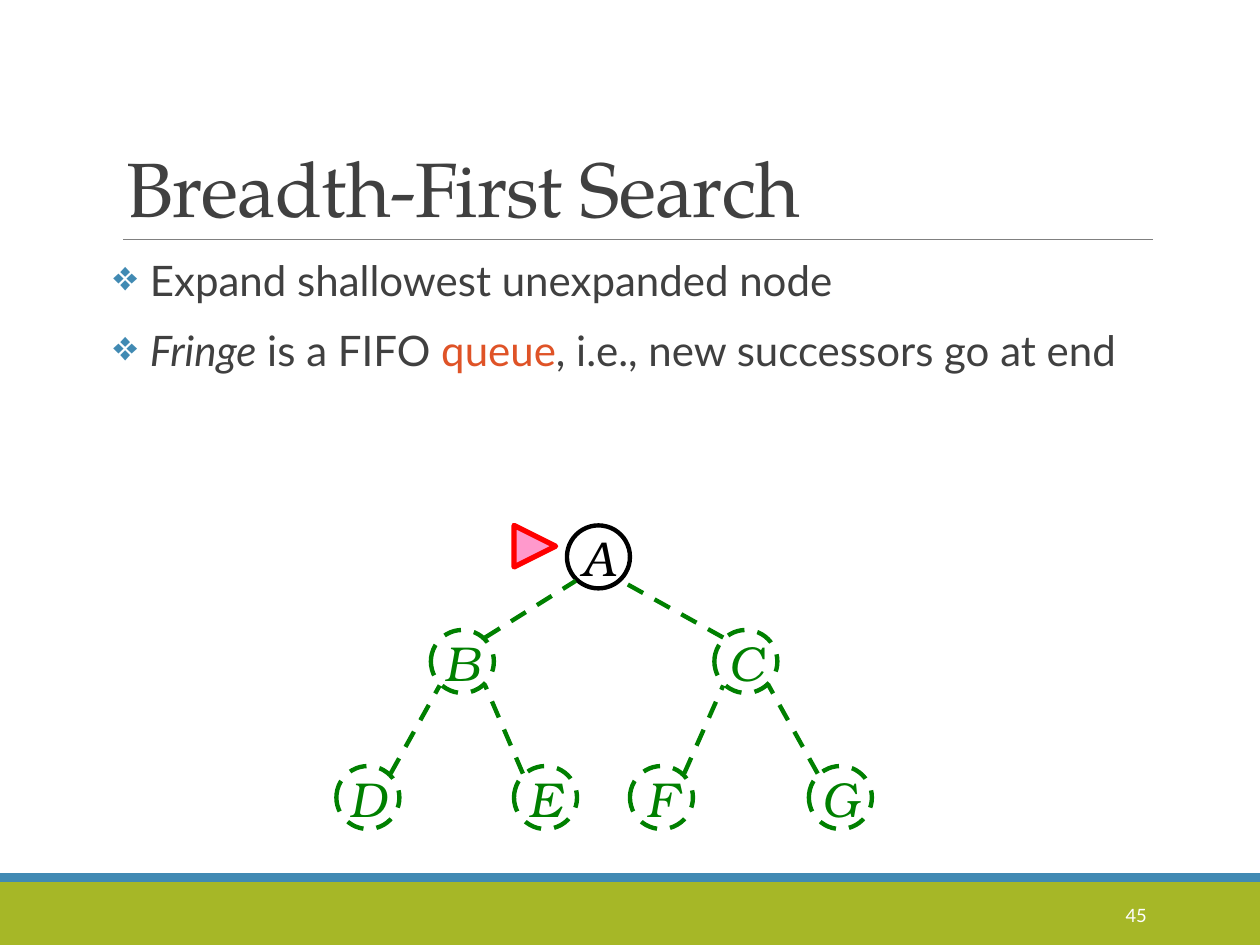
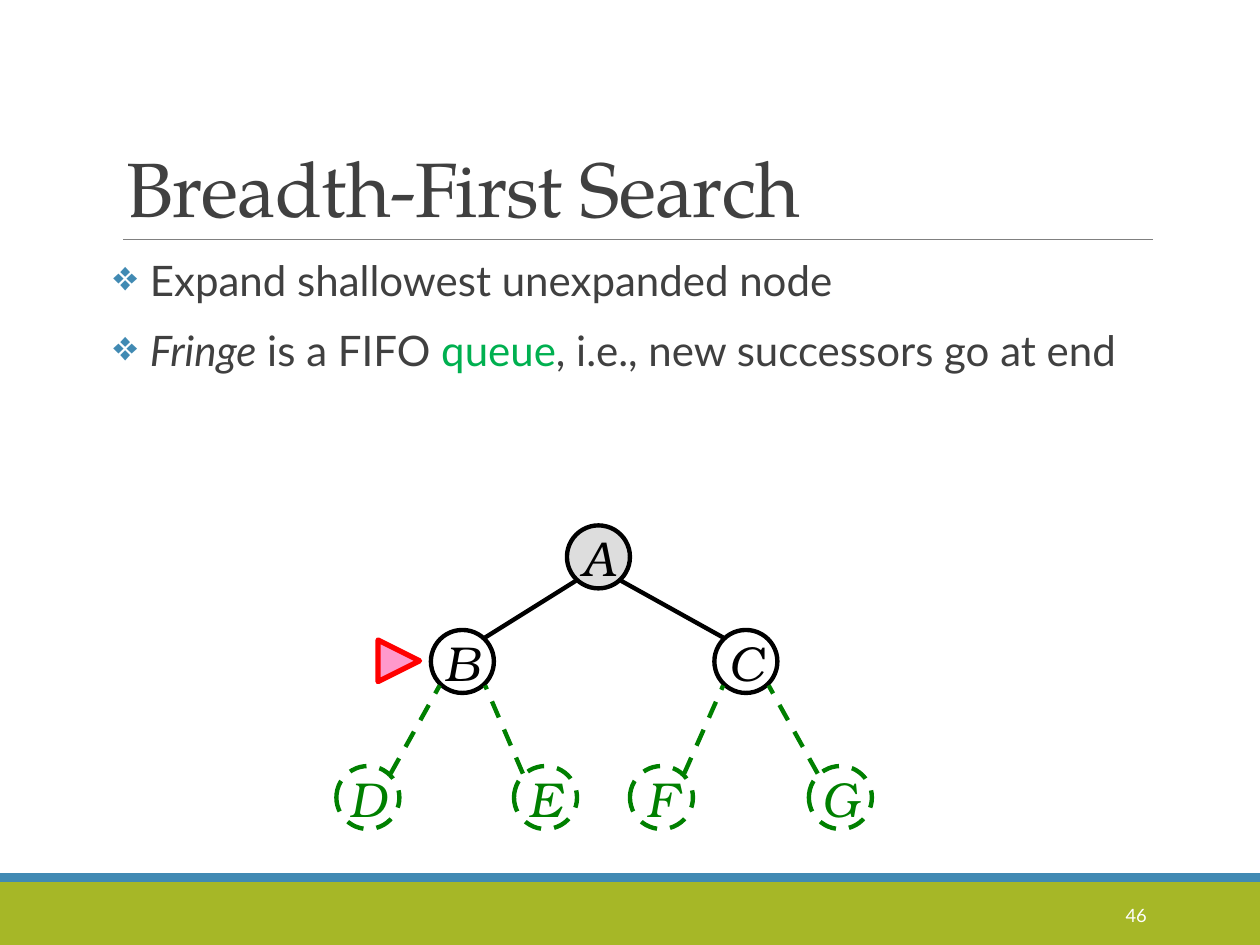
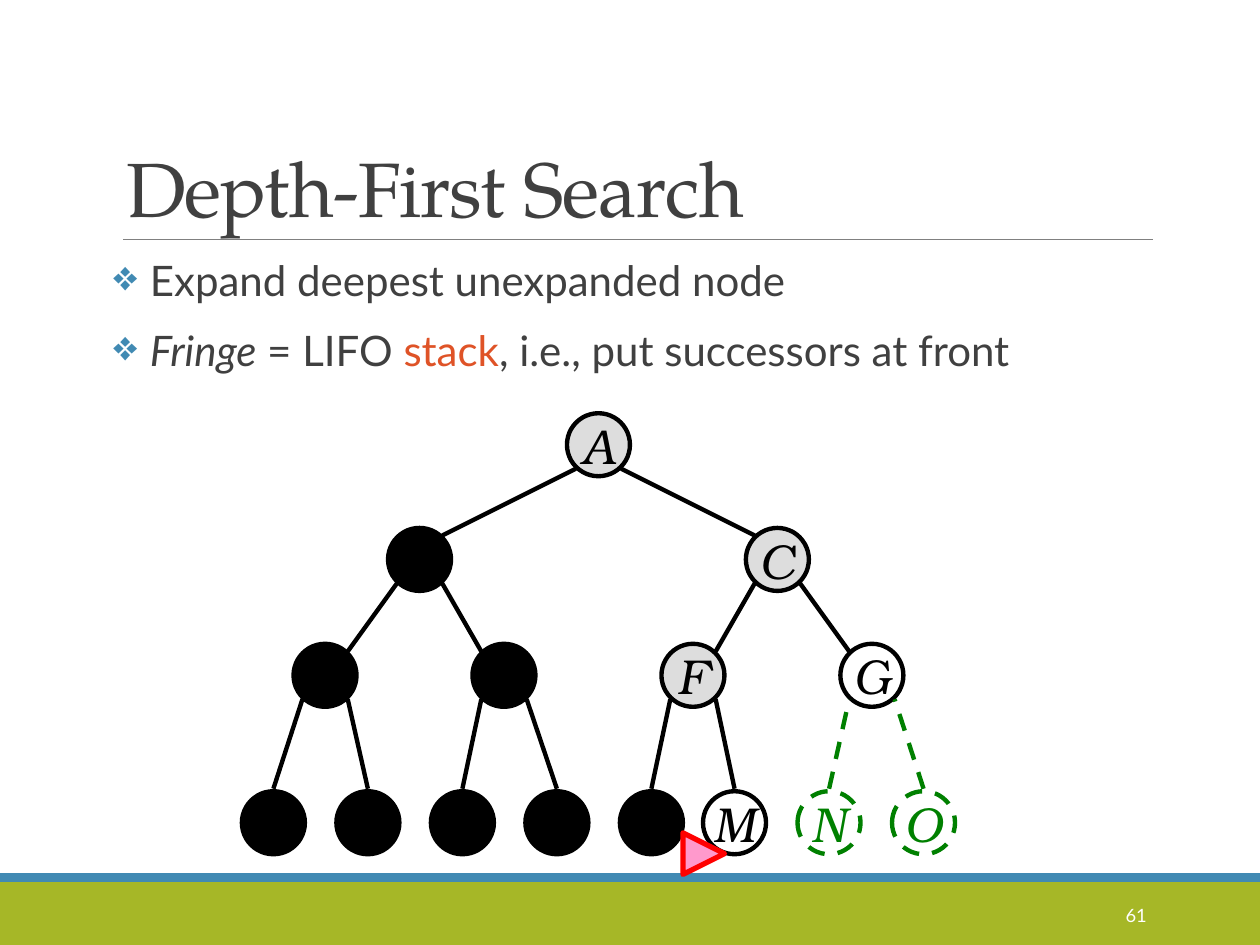
from dataclasses import dataclass
from lxml import etree
from pptx import Presentation
from pptx.dml.color import RGBColor
from pptx.enum.dml import MSO_LINE
from pptx.enum.shapes import MSO_CONNECTOR, MSO_SHAPE
from pptx.enum.text import MSO_ANCHOR, MSO_AUTO_SIZE, PP_ALIGN
from pptx.oxml.ns import qn
from pptx.util import Inches, Pt

# Colours and fonts
BLACK = RGBColor(0x00, 0x00, 0x00)
WHITE = RGBColor(0xFF, 0xFF, 0xFF)
INK = RGBColor(0x40, 0x40, 0x40)
RULE_GRAY = RGBColor(0x80, 0x80, 0x80)
OLIVE = RGBColor(0xA6, 0xB7, 0x27)
BLUE = RGBColor(0x41, 0x8A, 0xB3)
ORANGE = RGBColor(0xDF, 0x53, 0x27)
BRIGHT_GREEN = RGBColor(0x00, 0xB0, 0x50)
DARK_GREEN = RGBColor(0x00, 0x80, 0x00)
LIGHT_GRAY = RGBColor(0xDD, 0xDD, 0xDD)
PINK = RGBColor(0xFF, 0x99, 0xCC)
RED = RGBColor(0xFF, 0x00, 0x00)

TITLE_FONT = {"name": "TeX Gyre Pagella", "size": Pt(44)}
BODY_FONT = {"name": "Lato", "size": Pt(24)}
NUMBER_FONT = {"name": "Lato", "size": Pt(10.5)}
NODE_FONT = {"name": "TeX Gyre Bonum", "size": Pt(28), "italic": True}

# Boxes: left, top, width, height in inches
TITLE_BOX = (0.9, 0.31, 8.25, 1.59)
BODY_BOX = (0.9, 2.02, 8.25, 4.4)
NUMBER_BOX = (8.12, 7.06, 1.08, 0.4)
BANDS = [((0, 7, 10, 0.5), OLIVE), ((0, 6.93, 10, 0.07), BLUE)]

NODE = 0.5
CORNER = 0.07  # inset of an edge's end from a node's bounding box
MARKER = 0.33


@dataclass(frozen=True)
class State:
    """How a search node and the edge above it are drawn."""
    line: RGBColor = BLACK
    fill: RGBColor = None
    dash: MSO_LINE = None
    lettered: bool = True


UNSEEN = State(line=DARK_GREEN, dash=MSO_LINE.DASH)
FRINGE = State()
EXPANDED = State(fill=LIGHT_GRAY)
DISCARDED = State(fill=BLACK, lettered=False)


@dataclass(frozen=True)
class Tree:
    """Binary tree; each level has its top and its nodes' left edges."""
    origin: tuple
    levels: list


BREADTH_TREE = Tree((2.67, 4.17), [
    (0, [1.83]),
    (0.83, [0.75, 3]),
    (1.91, [0, 1.41, 2.33, 3.75]),
])
DEPTH_TREE = Tree((1.92, 3.28), [
    (0, [2.58]),
    (0.91, [1.16, 4]),
    (1.83, [0.41, 1.83, 3.33, 4.75]),
    (3, [0, 0.75, 1.5, 2.25, 3, 3.66, 4.41, 5.16]),
])


def apply(target, **formats):
    for attribute, value in formats.items():
        setattr(target, attribute, value)


def inches(box):
    return [Inches(length) for length in box]


def add_run(paragraph, text, font, color, italic=None):
    run = paragraph.add_run()
    run.text = text
    apply(run.font, **font)
    if italic is not None:
        run.font.italic = italic
    run.font.color.rgb = color
    return run


def set_frame(frame, anchor, wrap=True, **margins):
    apply(frame, auto_size=MSO_AUTO_SIZE.NONE, word_wrap=wrap,
          vertical_anchor=anchor, **margins)


def add_figure(slide, kind, box, fill=None, line=None, weight=2.5, dash=None):
    figure = slide.shapes.add_shape(kind, *inches(box))
    figure.shadow.inherit = False
    if fill is None:
        figure.fill.background()
    else:
        figure.fill.solid()
        figure.fill.fore_color.rgb = fill
    if line is None:
        figure.line.fill.background()
    else:
        figure.line.color.rgb = line
        apply(figure.line, width=Pt(weight), dash_style=dash)
    return figure


def add_line(slide, start, end, color, weight=2.5, dash=None):
    line = slide.shapes.add_connector(
        MSO_CONNECTOR.STRAIGHT, *inches(start + end))
    line.line.color.rgb = color
    apply(line.line, width=Pt(weight), dash_style=dash)
    etree.SubElement(line._element.spPr, qn("a:effectLst"))


# Title, bands and page number
def add_title(slide, text):
    title = slide.shapes.title
    apply(title, **dict(zip(("left", "top", "width", "height"), inches(TITLE_BOX))))
    set_frame(title.text_frame, MSO_ANCHOR.BOTTOM)
    paragraph = title.text_frame.paragraphs[0]
    apply(paragraph, alignment=PP_ALIGN.LEFT, line_spacing=0.85)
    run = add_run(paragraph, text, TITLE_FONT, INK)
    run._r.get_or_add_rPr().set("spc", "-50")


def add_frame(slide, number):
    for box, color in BANDS:
        add_figure(slide, MSO_SHAPE.RECTANGLE, box, fill=color)
    add_line(slide, (0.98, 1.9), (9.15, 1.9), RULE_GRAY, 0.5)
    page = slide.shapes.add_textbox(*inches(NUMBER_BOX)).text_frame
    set_frame(page, MSO_ANCHOR.MIDDLE)
    page.paragraphs[0].alignment = PP_ALIGN.RIGHT
    add_run(page.paragraphs[0], str(number), NUMBER_FONT, WHITE)


# Bulleted strategy
def add_bullet(paragraph):
    apply(paragraph, line_spacing=0.9, space_before=Pt(12), space_after=Pt(2))
    properties = paragraph._p.get_or_add_pPr()
    indent = Inches(0.29)
    properties.set("marL", str(indent))
    properties.set("indent", str(-indent))
    color = etree.SubElement(properties, qn("a:buClr"))
    etree.SubElement(color, qn("a:srgbClr")).set("val", str(BLUE))
    etree.SubElement(properties, qn("a:buChar")).set("char", "❖")


def add_strategy(slide, box, rule, fringe):
    body = slide.shapes.add_textbox(*inches(box)).text_frame
    set_frame(body, MSO_ANCHOR.TOP, margin_left=0, margin_right=0)
    first, second = body.paragraphs[0], body.add_paragraph()
    for paragraph in (first, second):
        add_bullet(paragraph)
    add_run(first, rule, BODY_FONT, INK)
    relation, structure, color, detail = fringe
    add_run(second, "Fringe", BODY_FONT, INK, italic=True)
    for text, shade in ((relation, INK), (structure, color), (detail, INK)):
        add_run(second, text, BODY_FONT, shade, italic=False)


# Search tree
def add_node(slide, corner, letter, state):
    node = add_figure(slide, MSO_SHAPE.OVAL, (*corner, NODE, NODE),
                      state.fill, state.line, dash=state.dash)
    if state.lettered:
        set_frame(node.text_frame, MSO_ANCHOR.MIDDLE, wrap=False)
        paragraph = node.text_frame.paragraphs[0]
        paragraph.alignment = PP_ALIGN.CENTER
        add_run(paragraph, letter, NODE_FONT, state.line)


def add_edge(slide, child, parent, level, state):
    """Join a child to its parent; fourth-level edges start at the top centre."""
    (x, y), (parent_x, parent_y) = child, parent
    near, far = CORNER, NODE - CORNER
    child_side, parent_side = (far, near) if x < parent_x else (near, far)
    start = (x + NODE / 2, y - 0.02) if level == 3 else (x + child_side, y + 0.06)
    add_line(slide, start, (parent_x + parent_side, parent_y + 0.44),
             state.line, dash=state.dash)


def add_tree(slide, tree, states, current, marker_offset):
    left, top = tree.origin
    places = [(left + x, top + y, level)
              for level, (y, xs) in enumerate(tree.levels) for x in xs]
    state_of = {letter: state for state, letters in states.items()
                for letter in letters}
    corners = {}
    for index, (x, y, level) in enumerate(places):
        letter = chr(ord("A") + index)
        state = state_of.get(letter, UNSEEN)
        corners[letter] = (x, y)
        add_node(slide, (x, y), letter, state)
        if index:
            parent = places[(index - 1) // 2][:2]
            add_edge(slide, (x, y), parent, level, state)

    # Pointer to the node expanded next
    (x, y), (dx, dy) = corners[current], marker_offset
    marker = add_figure(slide, MSO_SHAPE.FLOWCHART_EXTRACT,
                        (x + dx, y + dy, MARKER, MARKER), PINK, RED, 3)
    marker.rotation = 90


def add_search_slide(deck, title, number, rule, fringe, **search):
    slide = deck.slides.add_slide(deck.slide_layouts[5])
    add_title(slide, title)
    add_frame(slide, number)
    add_strategy(slide, BODY_BOX, rule, fringe)
    add_tree(slide, **search)


def main():
    deck = Presentation()
    apply(deck, slide_width=Inches(10), slide_height=Inches(7.5))

    breadth_steps = [
        (45, ORANGE, {FRINGE: "A"}, "A", (-0.42, 0)),
        (46, BRIGHT_GREEN, {EXPANDED: "A", FRINGE: "BC"}, "B", (-0.42, 0.08)),
    ]
    for number, color, states, current, offset in breadth_steps:
        add_search_slide(
            deck, "Breadth-First Search", number,
            "Expand shallowest unexpanded node",
            (" is a FIFO ", "queue", color, ", i.e., new successors go at end"),
            tree=BREADTH_TREE, states=states, current=current,
            marker_offset=offset)

    add_search_slide(
        deck, "Depth-First Search", 61, "Expand deepest unexpanded node",
        (" = LIFO ", "stack", ORANGE, ", i.e., put successors at front"),
        tree=DEPTH_TREE,
        states={EXPANDED: "ACF", DISCARDED: "BDEHIJKL", FRINGE: "GM"},
        current="M", marker_offset=(-0.16, 0.33))

    deck.save("out.pptx")


if __name__ == "__main__":
    main()
